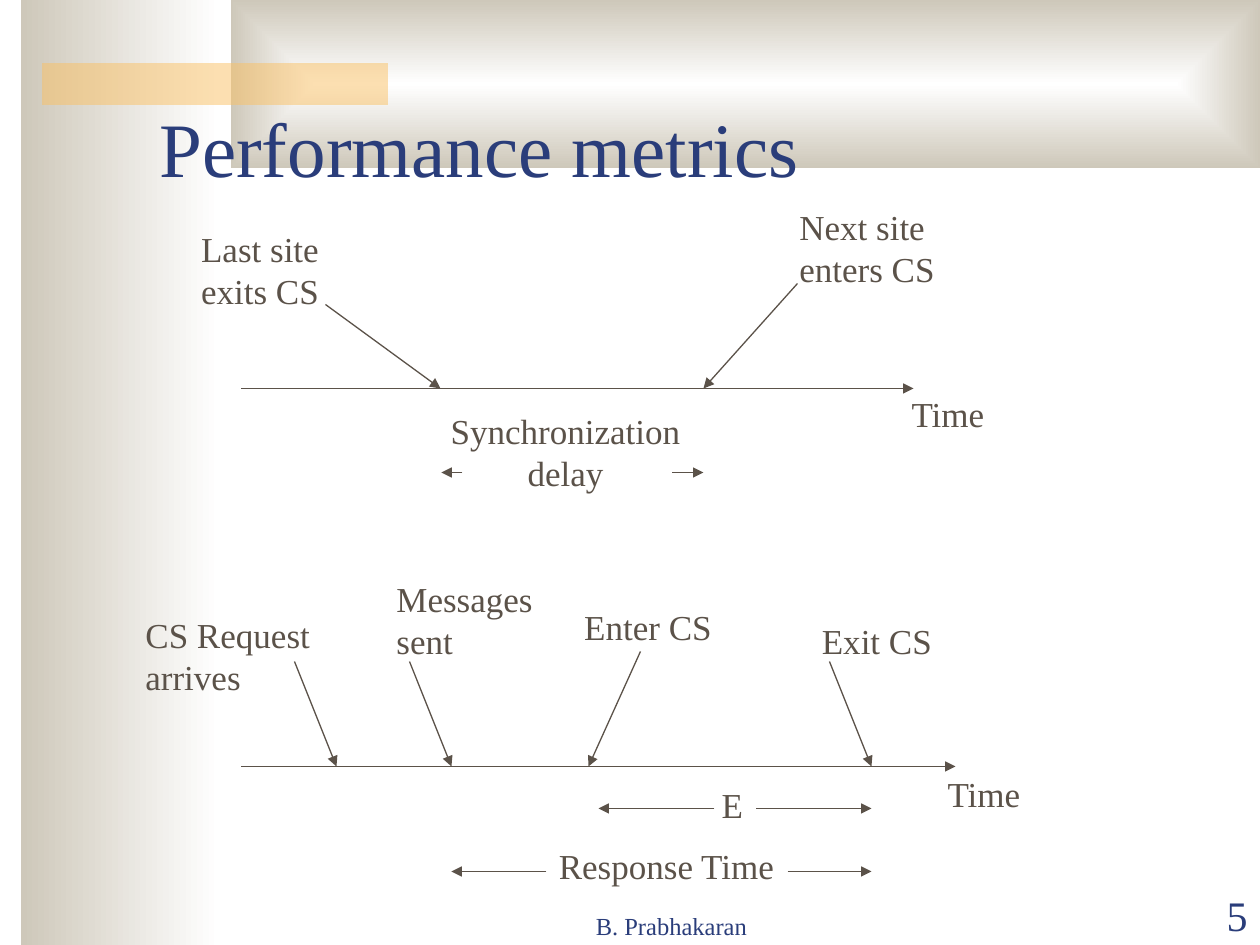
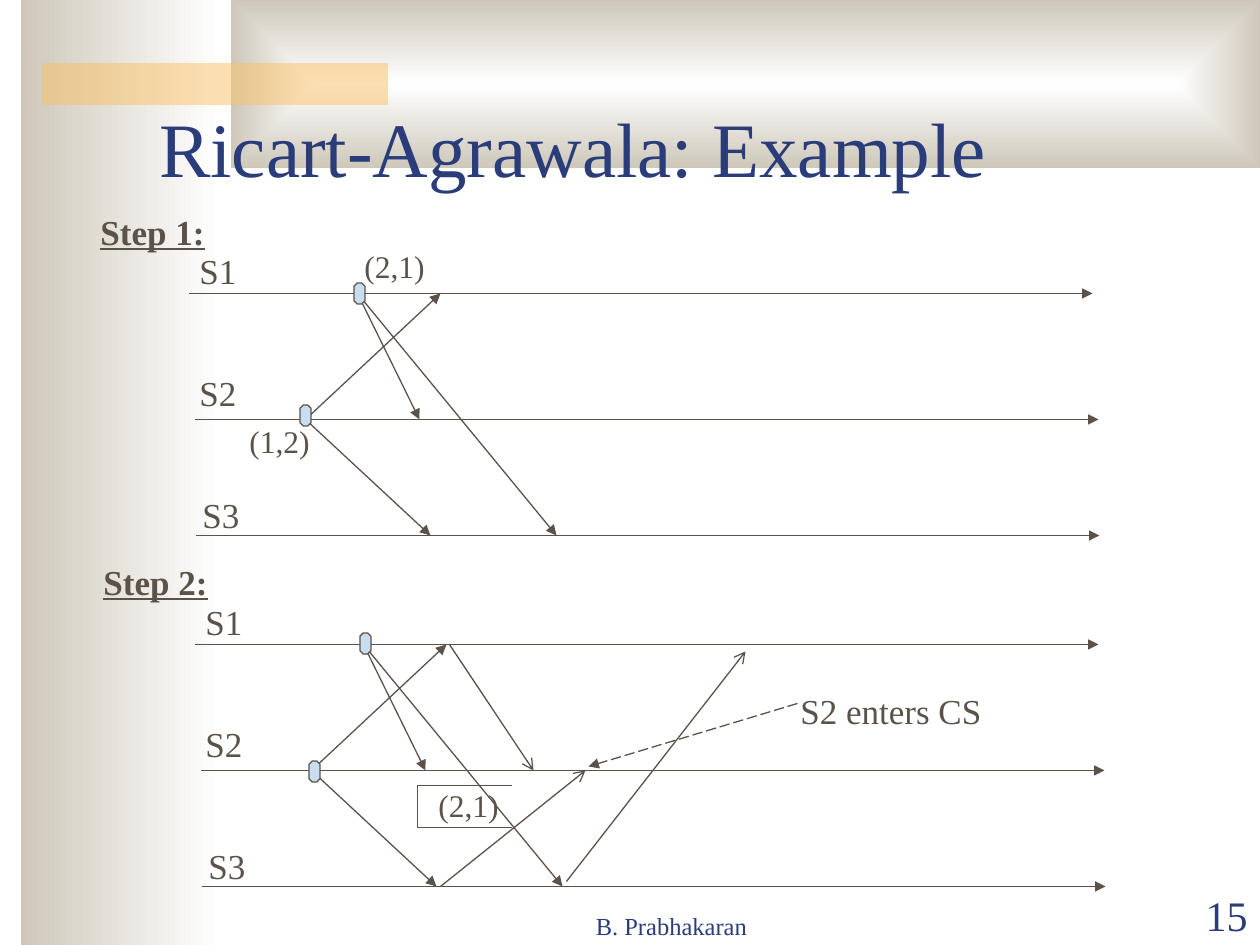
from lxml import etree
from pptx import Presentation
from pptx.dml.color import RGBColor
from pptx.enum.dml import MSO_LINE
from pptx.enum.shapes import MSO_CONNECTOR, MSO_SHAPE
from pptx.enum.text import MSO_ANCHOR, MSO_AUTO_SIZE, PP_ALIGN
from pptx.oxml.ns import qn
from pptx.util import Emu, Pt

PX = 914400 / 126
PIXEL_CENTER = 0.5
FONT = "Times New Roman"
NAVY, BROWN, WHITE = "2A3D7A", "5B5249", "FFFFFF"
SAND, GOLD, PALE_BLUE = "CEC8BA", "FAC164", "C9DDF1"
LINE_WIDTH = Pt(0.75)

LEFT, CENTER, RIGHT = PP_ALIGN.LEFT, PP_ALIGN.CENTER, PP_ALIGN.RIGHT
TOP, MIDDLE, BOTTOM = MSO_ANCHOR.TOP, MSO_ANCHOR.MIDDLE, MSO_ANCHOR.BOTTOM
STRAIGHT = MSO_CONNECTOR.STRAIGHT
RECTANGLE, OCTAGON = MSO_SHAPE.RECTANGLE, MSO_SHAPE.OCTAGON
LONG_DASH = MSO_LINE.LONG_DASH
FIT_SHAPE = MSO_AUTO_SIZE.SHAPE_TO_FIT_TEXT


def px(*lengths):
    return [Emu(round(length * PX)) for length in lengths]


def color(value):
    return RGBColor.from_string(value)


def add_text(slide, at, lines, size, ink=BROWN, align=LEFT, anchor=TOP,
             wrap=False, heading=False):
    box = slide.shapes.add_textbox(*px(*at))
    frame = box.text_frame
    frame.word_wrap = wrap
    frame.vertical_anchor = anchor
    if not wrap:
        frame.auto_size = FIT_SHAPE
    for index, line in enumerate(lines):
        para = frame.paragraphs[0] if index == 0 else frame.add_paragraph()
        para.alignment = align
        span = para.add_run()
        span.text = line
        span.font.name = FONT
        span.font.size = Pt(size)
        span.font.color.rgb = color(ink)
        if heading:
            span.font.bold = True
            span.font.underline = True


def add_label(slide, left, top, width, text, align=LEFT, anchor=TOP, **style):
    """A 20 pt label, as tall as its lines need."""
    lines = text.split("\n")
    height = 13 + 42 * len(lines)
    add_text(slide, (left, top, width, height), lines, 20, BROWN, align, anchor, **style)


def add_clock(slide, left, top, text):
    """A timestamp such as (2,1)."""
    add_text(slide, (left, top, 86, 50), [text], 18)


def add_line(slide, start, end, head="triangle", dash=None):
    """A thin line through pixel centres, so that it draws sharp."""
    ends = [length + PIXEL_CENTER for length in (*start, *end)]
    line = slide.shapes.add_connector(STRAIGHT, *px(*ends))
    line.line.color.rgb = color(BROWN)
    line.line.width = LINE_WIDTH
    if dash:
        line.line.dash_style = dash
    if head:
        etree.SubElement(line.line._get_or_add_ln(), qn("a:tailEnd"), type=head)
    etree.SubElement(line._element.spPr, qn("a:effectLst"))


def add_band(slide, *at):
    band = slide.shapes.add_shape(RECTANGLE, *px(*at))
    band.shadow.inherit = False
    band.line.fill.background()
    return band


def fade_band(band):
    """Fade from white on the right to sand on the left."""
    band.fill.gradient()
    band.fill.gradient_angle = 180
    for stop, value in zip(band.fill.gradient_stops, (WHITE, SAND)):
        stop.color.rgb = color(value)


def fade_from_center(band):
    fade_band(band)
    linear = band._element.spPr.find(".//" + qn("a:lin"))
    path = etree.Element(qn("a:path"), path="rect")
    etree.SubElement(path, qn("a:fillToRect"),
                     dict.fromkeys("ltrb", "50000"))
    linear.getparent().replace(linear, path)


def add_page(deck, title, number):
    page = deck.slides.add_slide(deck.slide_layouts[6])
    fade_band(add_band(page, 21, 0, 199, 945))
    fade_from_center(add_band(page, 231, 0, 1029, 168))
    accent = add_band(page, 42, 63, 346, 42)
    accent.fill.solid()
    accent.fill.fore_color.rgb = color(GOLD)
    gold = accent._element.spPr.find(".//" + qn("a:srgbClr"))
    etree.SubElement(gold, qn("a:alpha"), val="50000")

    add_text(page, (147, 42, 1071, 157), [title], 44, NAVY, LEFT, BOTTOM, wrap=True)
    add_text(page, (472, 884, 399, 63), ["B. Prabhakaran"], 14, NAVY, CENTER, BOTTOM, wrap=True)
    add_text(page, (1134, 883, 126, 63), [number], 24, NAVY, RIGHT, BOTTOM, wrap=True)
    return page


def add_marker(slide, left, top):
    marker = slide.shapes.add_shape(OCTAGON, *px(left, top, 11, 21))
    marker.shadow.inherit = False
    marker.adjustments[0] = 0.293
    marker.fill.solid()
    marker.fill.fore_color.rgb = color(PALE_BLUE)
    marker.line.color.rgb = color(BROWN)
    marker.line.width = LINE_WIDTH


def add_span(slide, y, left, left_end, right_start, right):
    """Two arrows that point outwards from a label between them."""
    add_line(slide, (left_end, y), (left, y))
    add_line(slide, (right_start, y), (right, y))


def add_metrics(slide):
    sync_y, response_y = 388, 766
    add_line(slide, (241, sync_y), (913, sync_y))
    add_line(slide, (241, response_y), (955, response_y))
    for start, event_x in (((325, 304), 440), ((797, 283), 703)):
        add_line(slide, start, (event_x, sync_y))
    for start, event_x in (((294, 661), 336), ((409, 661), 451),
                           ((640, 651), 588), ((829, 661), 871)):
        add_line(slide, start, (event_x, response_y))

    add_span(slide, 472, 441, 462, 672, 703)
    add_span(slide, 808, 598, 714, 756, 871)
    add_span(slide, 871, 451, 546, 787, 871)

    for left, top, width, text, align in (
        (187, 221, 146, "Last site\nexits CS", CENTER),
        (787, 199, 166, "Next site\nenters CS", LEFT),
        (437, 403, 257, "Synchronization\ndelay", CENTER),
        (897, 386, 102, "Time", CENTER),
        (933, 766, 102, "Time", CENTER),
        (133, 607, 195, "CS Request\narrives", LEFT),
        (384, 571, 167, "Messages\nsent", LEFT),
        (570, 599, 156, "Enter CS", CENTER),
        (808, 613, 138, "Exit CS", CENTER),
        (708, 777, 49, "E", CENTER),
        (544, 838, 245, "Response Time", CENTER),
    ):
        add_label(slide, left, top, width, text, align, MIDDLE)


def add_step(slide, heading, heading_at, shift, markers):
    """Three site timelines with the requests sent by S1 and S2."""
    def moved(x, y):
        return x + shift[0], y + shift[1]

    for site, x, y, label_at in (("S1", 189, 293, (187, 243)),
                                 ("S2", 195, 419, (187, 365)),
                                 ("S3", 196, 535, (190, 487))):
        add_line(slide, moved(x, y), moved(x + 903, y))
        add_label(slide, *moved(*label_at), 64, site)
    for sender, receivers in (((357, 293), ((419, 419), (556, 535))),
                              ((305, 419), ((440, 293), (430, 535)))):
        for receiver in receivers:
            add_line(slide, moved(*sender), moved(*receiver))
    for marker_at in markers:
        add_marker(slide, *marker_at)
    add_label(slide, *heading_at, 135, heading, heading=True)


def add_replies(slide):
    for start, end in (((449, 644), (533, 770)),
                       ((440, 886), (585, 770)),
                       ((566, 881), (745, 651))):
        add_line(slide, start, end, head="arrow")
    add_line(slide, (797, 703), (588, 766), dash=LONG_DASH)
    add_label(slide, 788, 683, 210, "S2 enters CS")


def add_queue(slide):
    """The open-ended box that holds a deferred request."""
    left, right, top, bottom = 417, 512, 785, 827
    for start, end in (((right, top), (left, top)),
                       ((left, top), (left, bottom)),
                       ((right, bottom), (left, bottom))):
        add_line(slide, start, end, head=None)
    add_clock(slide, 426, 780, "(2,1)")


def main():
    deck = Presentation()
    deck.slide_width, deck.slide_height = px(1260, 945)

    add_metrics(add_page(deck, "Performance metrics", "5"))

    example = add_page(deck, "Ricart-Agrawala: Example", "15")
    add_step(example, "Step 1:", (88, 204), (0, 0), ((354, 283), (300, 405)))
    add_clock(example, 352, 241, "(2,1)")
    add_clock(example, 237, 416, "(1,2)")
    add_step(example, "Step 2:", (91, 554), (6, 351), ((360, 633), (309, 761)))
    add_queue(example)
    add_replies(example)

    deck.save("out.pptx")


if __name__ == "__main__":
    main()
